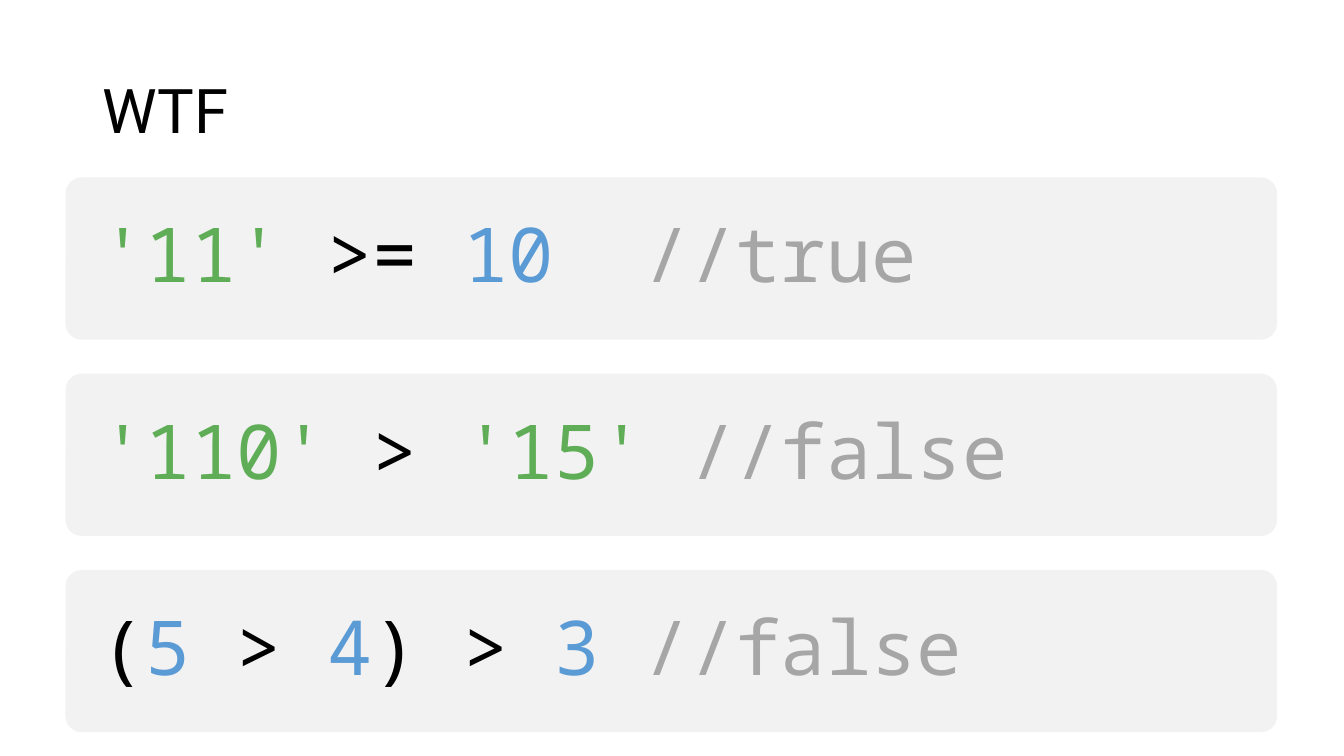
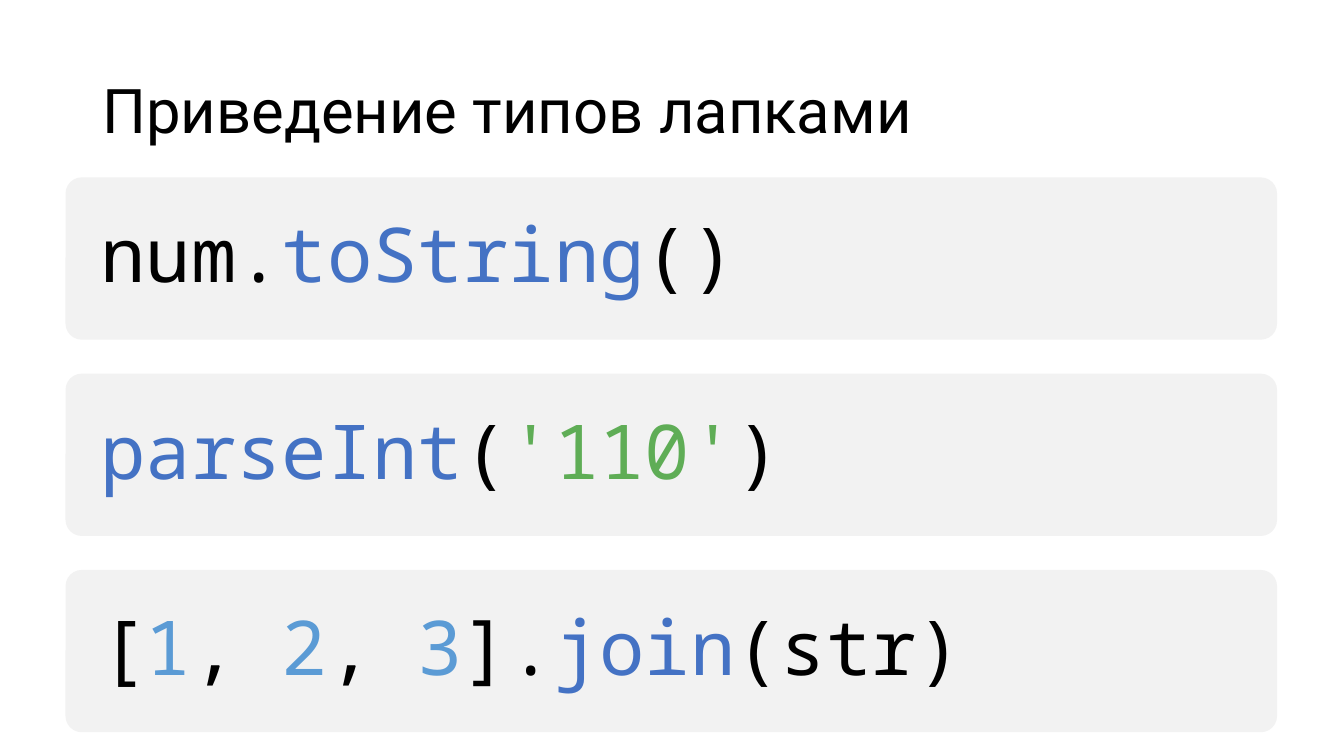
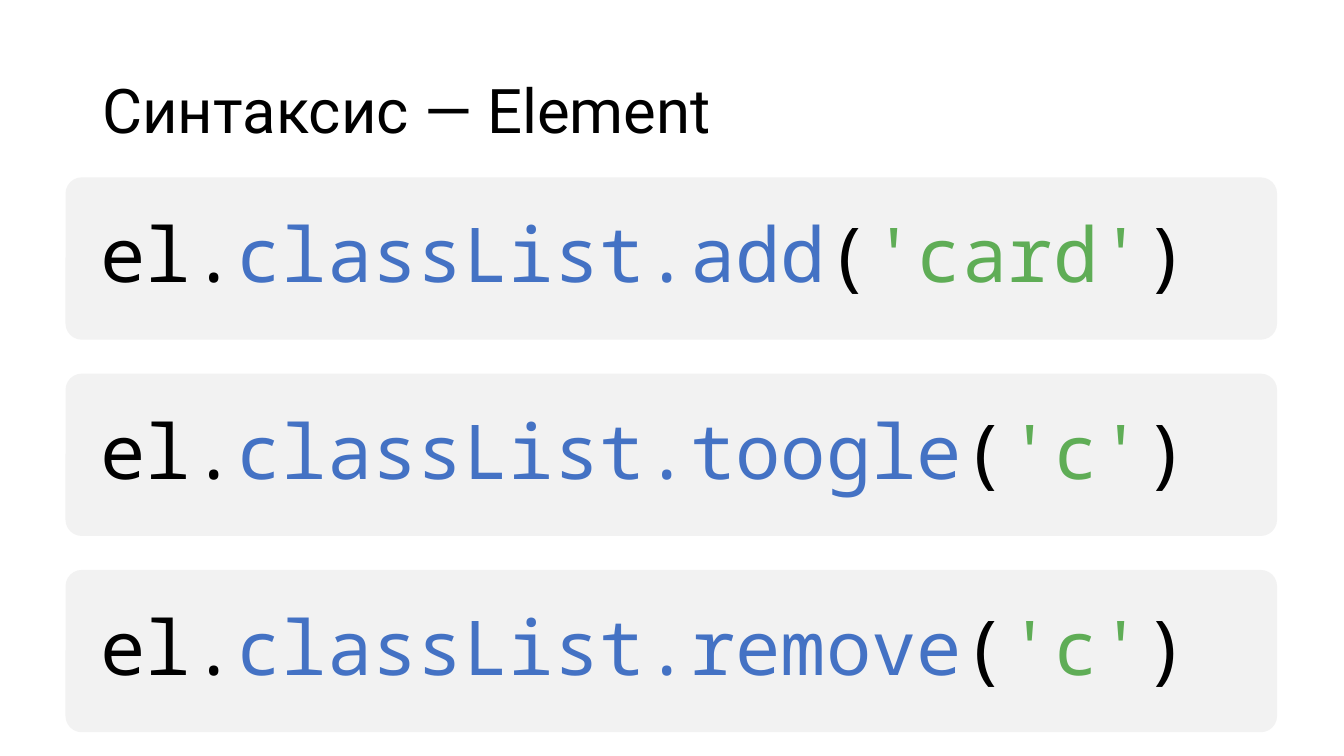
from dataclasses import dataclass

from pptx import Presentation
from pptx.dml.color import RGBColor
from pptx.enum.shapes import MSO_SHAPE
from pptx.enum.text import MSO_ANCHOR, PP_ALIGN
from pptx.util import Pt


@dataclass(frozen=True)
class Theme:
    # Colours
    panel: str = "F2F2F2"
    plain: str = "000000"
    string: str = "5FAD56"
    number: str = "5B9BD5"
    method: str = "4472C4"
    comment: str = "A6A6A6"
    # Type
    title_font: str = "Roboto"
    title_size: int = 44
    code_font: str = "Noto Sans Mono"
    code_size: int = 54


THEME = Theme()

# Layout, in points
SLIDE_W, SLIDE_H = 960, 540
TITLE_BOX = (66, 28.8, 828, 104.4)
PANEL_X, PANEL_Y, PANEL_W, PANEL_H = 46.8, 126.7, 865.4, 115.9
PANEL_PITCH = 140.2
PANEL_ROUNDING = 0.1
PAD_X, PAD_Y = 21.6, 18

# Each slide: title, then lines of code as (kind, text) runs
SLIDES = [
    ("WTF", [
        [("string", "'11' "), ("plain", ">= "), ("number", "10  "),
         ("comment", "//true")],
        [("string", "'110' "), ("plain", "> "), ("string", "'15' "),
         ("comment", "//false")],
        [("plain", "("), ("number", "5"), ("plain", " > "), ("number", "4"),
         ("plain", ") > "), ("number", "3 "), ("comment", "//false")],
    ]),
    ("Приведение типов лапками", [
        [("plain", "num."), ("method", "toString"), ("plain", "()")],
        [("method", "parseInt"), ("plain", "("), ("string", "'110'"),
         ("plain", ")")],
        [("plain", "["), ("number", "1"), ("plain", ", "), ("number", "2"),
         ("plain", ", "), ("number", "3"), ("plain", "]."),
         ("method", "join"), ("plain", "(str)")],
    ]),
    ("Синтаксис — Element", [
        [("plain", "el."), ("method", f"classList.{name}"), ("plain", "("),
         ("string", value), ("plain", ")")]
        for name, value in (("add", "'card'"), ("toogle", "'c'"),
                            ("remove", "'c'"))
    ]),
]


def add_run(p, text, font, size, color):
    r = p.add_run()
    r.text = text
    r.font.name = font
    r.font.size = Pt(size)
    r.font.color.rgb = RGBColor.from_string(color)


def add_title(s, text):
    sp = s.shapes.add_textbox(*map(Pt, TITLE_BOX))
    tf = sp.text_frame
    tf.word_wrap = True
    tf.vertical_anchor = MSO_ANCHOR.MIDDLE
    p = tf.paragraphs[0]
    p.line_spacing = 0.9
    add_run(p, text, THEME.title_font, THEME.title_size, THEME.plain)


def add_code_panel(s, row, runs):
    # Rounded panel
    sp = s.shapes.add_shape(
        MSO_SHAPE.ROUNDED_RECTANGLE, Pt(PANEL_X),
        Pt(PANEL_Y + row * PANEL_PITCH), Pt(PANEL_W), Pt(PANEL_H))
    sp.adjustments[0] = PANEL_ROUNDING
    sp.shadow.inherit = False
    sp.fill.solid()
    sp.fill.fore_color.rgb = RGBColor.from_string(THEME.panel)
    sp.line.fill.background()

    # Coloured code
    tf = sp.text_frame
    tf.word_wrap = True
    tf.vertical_anchor = MSO_ANCHOR.TOP
    tf.margin_left = tf.margin_right = Pt(PAD_X)
    tf.margin_top = tf.margin_bottom = Pt(PAD_Y)
    p = tf.paragraphs[0]
    p.alignment = PP_ALIGN.LEFT
    for kind, text in runs:
        add_run(p, text, THEME.code_font, THEME.code_size,
                getattr(THEME, kind))


def main():
    prs = Presentation()
    prs.slide_width, prs.slide_height = Pt(SLIDE_W), Pt(SLIDE_H)
    blank = prs.slide_layouts[6]
    for title, lines in SLIDES:
        s = prs.slides.add_slide(blank)
        add_title(s, title)
        for row, runs in enumerate(lines):
            add_code_panel(s, row, runs)
    prs.save("out.pptx")


if __name__ == "__main__":
    main()
